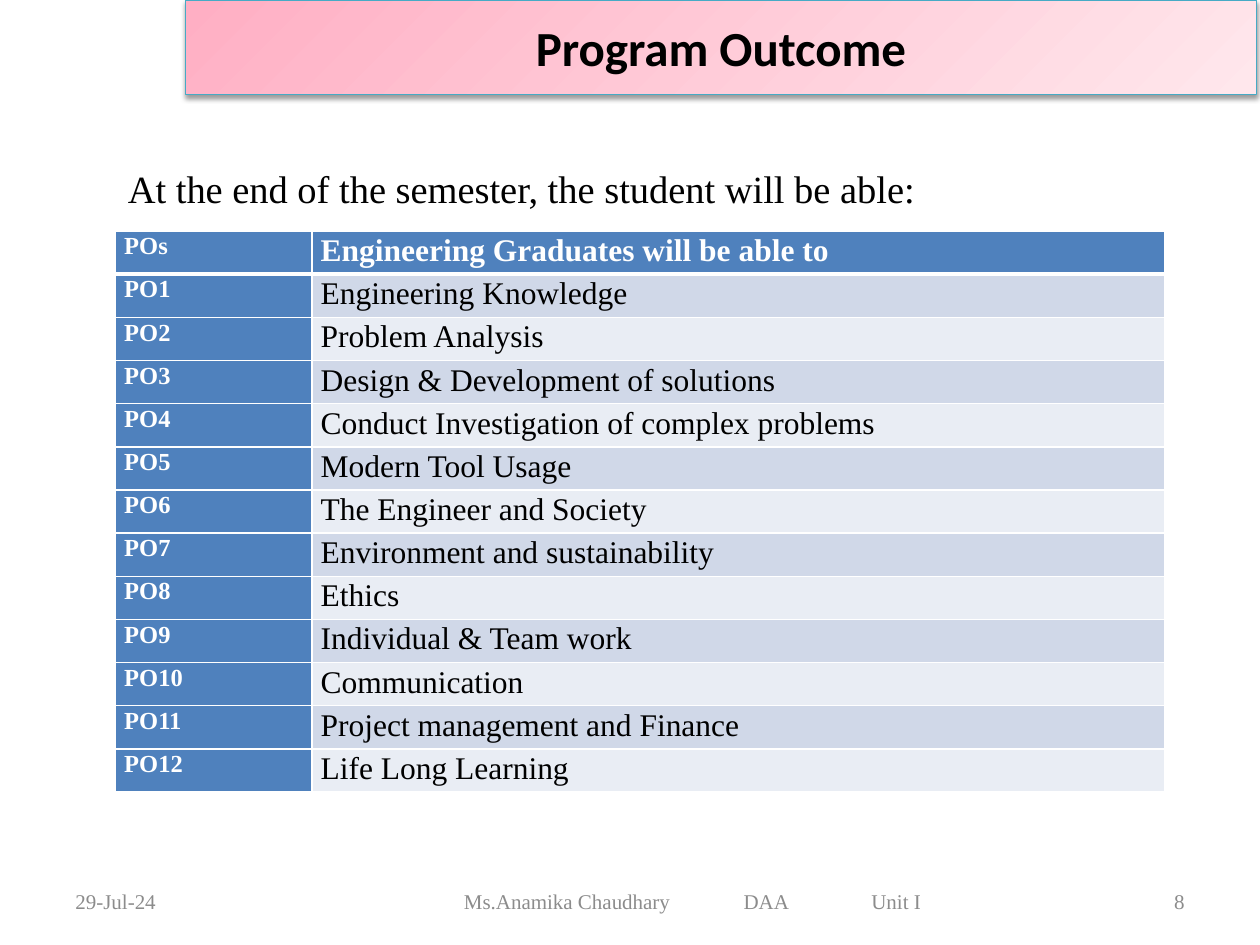
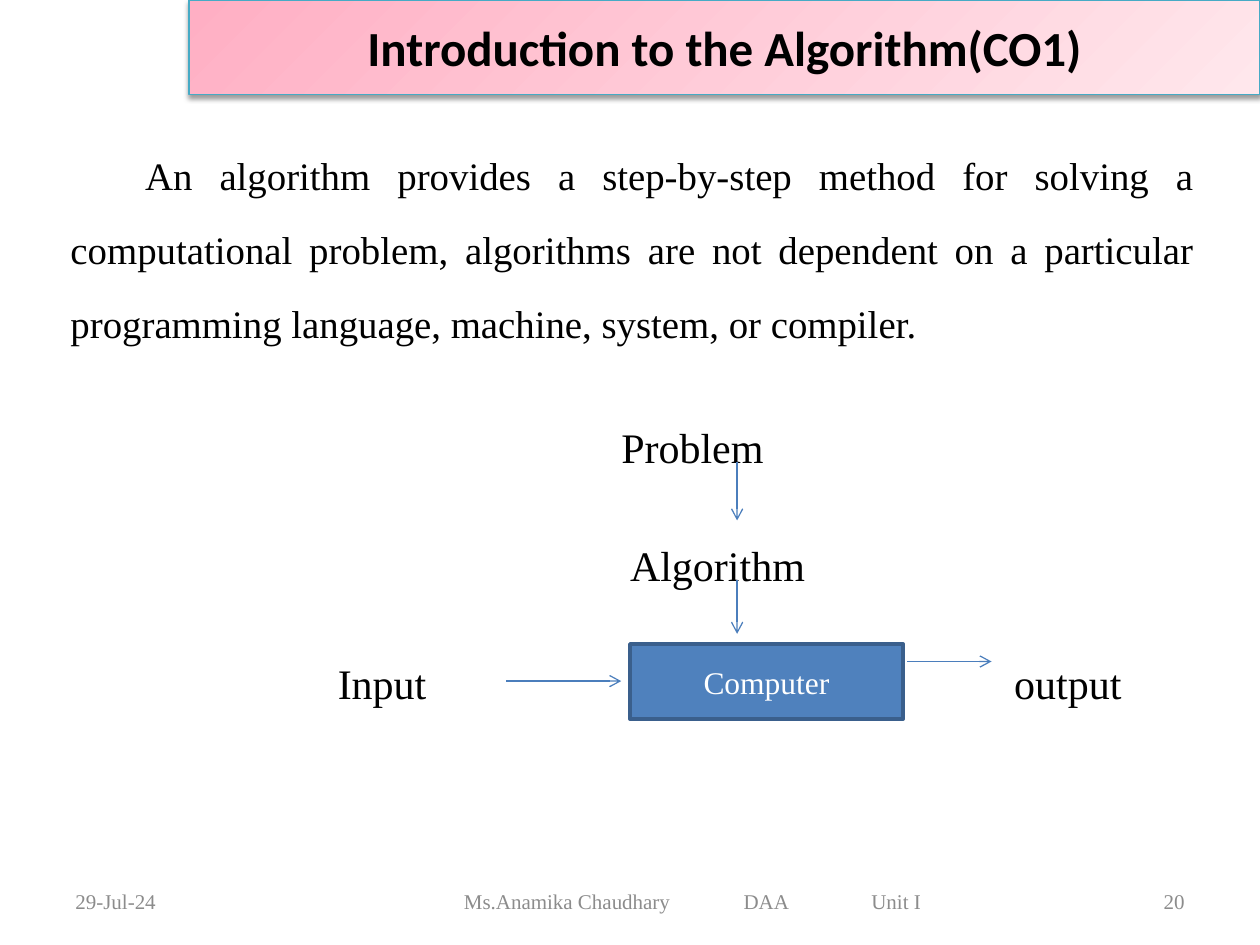
from lxml import etree
from pptx import Presentation
from pptx.dml import color as dml
from pptx.enum import shapes, text
from pptx.oxml import ns
from pptx.util import Pt

COLORS = {
    "black": "000000", "white": "FFFFFF", "footer": "8C8C8C",
    "band_start": "FFAFC4", "band_end": "FFE7EC", "band_line": "46AAC5",
    "blue": "4F81BD", "box_line": "3A5F8C", "arrow": "4B7EBC",
    "odd_row": "D0D8E8", "even_row": "E9EDF4",
}
BODY_FONT, TITLE_FONT = "Times New Roman", "Calibri"
ALIGN, ANCHOR = text.PP_ALIGN, text.MSO_ANCHOR
OUTCOMES = [
    "Engineering Knowledge", "Problem Analysis", "Design & Development of solutions",
    "Conduct Investigation of complex problems", "Modern Tool Usage",
    "The Engineer and Society", "Environment and sustainability", "Ethics",
    "Individual & Team work", "Communication", "Project management and Finance",
    "Life Long Learning",
]


def rgb(name):
    return dml.RGBColor.from_string(COLORS[name])


def add_xml(parent, tag, **attributes):
    values = {key: str(value) for key, value in attributes.items()}
    return etree.SubElement(parent, ns.qn(tag), values)


def write_text(frame, content, size=22, color="black", font=BODY_FONT, bold=False,
               align=ALIGN.LEFT, anchor=ANCHOR.TOP, spacing=None, after=0,
               margin=0, first=0, tabs=()):
    frame.word_wrap = True
    frame.vertical_anchor = anchor
    paragraph = frame.paragraphs[0]
    paragraph.text = content
    paragraph.alignment = align
    paragraph.space_after = Pt(after)
    if spacing:
        paragraph.line_spacing = spacing
    properties = paragraph._p.get_or_add_pPr()
    if margin or first:
        properties.set("marL", str(Pt(margin)))
        properties.set("indent", str(Pt(first)))
    if tabs:
        tab_list = add_xml(properties, "a:tabLst")
        for position in tabs:
            add_xml(tab_list, "a:tab", pos=Pt(position), algn="l")
    for run in paragraph.runs:
        run.font.name = font
        run.font.size = Pt(size)
        run.font.bold = bold
        run.font.color.rgb = rgb(color)


class Deck:
    def __init__(self):
        self.presentation = Presentation()
        self.presentation.slide_width = Pt(720)
        self.presentation.slide_height = Pt(540)
        self.slide = None

    def start_slide(self, title, number, band_left):
        self.slide = self.presentation.slides.add_slide(self.presentation.slide_layouts[6])
        footer = dict(size=12, color="footer", anchor=ANCHOR.MIDDLE)
        self.text("29-Jul-24", 36, 500.4, 168, 28.8, **footer)
        self.text("Ms.Anamika Chaudhary\tDAA\tUnit I", 258, 500.4, 336, 28.8,
                  tabs=(159.8, 232.8), **footer)
        self.text(str(number), 516, 500.4, 168, 28.8, align=ALIGN.RIGHT, **footer)
        self.title_band(title, band_left)

    def text(self, content, left, top, width, height, inset=True, **style):
        shape = self.slide.shapes.add_textbox(Pt(left), Pt(top), Pt(width), Pt(height))
        frame = shape.text_frame
        if not inset:
            frame.margin_left = frame.margin_right = frame.margin_top = frame.margin_bottom = 0
        write_text(frame, content, **style)

    def rectangle(self, content, left, top, width, height, line, line_width, **style):
        shape = self.slide.shapes.add_shape(
            shapes.MSO_SHAPE.RECTANGLE, Pt(left), Pt(top), Pt(width), Pt(height))
        shape.shadow.inherit = False
        shape.fill.solid()
        shape.fill.fore_color.rgb = rgb("blue")
        shape.line.color.rgb = rgb(line)
        shape.line.width = Pt(line_width)
        write_text(shape.text_frame, content, align=ALIGN.CENTER, anchor=ANCHOR.MIDDLE, **style)
        return shape

    def title_band(self, title, left):
        band = self.rectangle(title, left, 0, 612, 54, "band_line", 0.75,
                              size=28, font=TITLE_FONT, bold=True)
        band.fill.gradient()
        band.fill.gradient_angle = 315
        for stop, name in zip(band.fill.gradient_stops, ("band_start", "band_end")):
            stop.color.rgb = rgb(name)
        effects = band._element.spPr.find(ns.qn("a:effectLst"))
        shadow = add_xml(effects, "a:outerShdw", blurRad=Pt(3.1), dist=Pt(1.6),
                         dir=5400000, rotWithShape=0)
        add_xml(add_xml(shadow, "a:srgbClr", val=COLORS["black"]), "a:alpha", val=38000)

    def arrow(self, start_x, start_y, end_x, end_y):
        connector = self.slide.shapes.add_connector(
            shapes.MSO_CONNECTOR.STRAIGHT, Pt(start_x), Pt(start_y), Pt(end_x), Pt(end_y))
        connector.line.color.rgb = rgb("arrow")
        connector.line.width = Pt(0.75)
        add_xml(connector.line._get_or_add_ln(), "a:tailEnd", type="arrow")
        add_xml(connector._element.spPr, "a:effectLst")

    def cell(self, cell, content, fill, top_border=1, bottom_border=1, **style):
        cell.margin_left = cell.margin_right = Pt(5)
        cell.margin_top = cell.margin_bottom = 0
        properties = cell._tc.get_or_add_tcPr()
        borders = {"a:lnL": 1, "a:lnR": 1, "a:lnT": top_border, "a:lnB": bottom_border}
        for tag, width in borders.items():
            border = add_xml(properties, tag, w=Pt(width))
            add_xml(add_xml(border, "a:solidFill"), "a:srgbClr", val=COLORS["white"])
        cell.fill.solid()
        cell.fill.fore_color.rgb = rgb(fill)
        write_text(cell.text_frame, content, spacing=1.07, **style)

    def table(self, rows, left, top, widths, row_height):
        table = self.slide.shapes.add_table(
            len(rows), len(widths), Pt(left), Pt(top),
            Pt(sum(widths)), Pt(row_height * len(rows))).table
        table.horz_banding = False
        for column, width in zip(table.columns, widths):
            column.width = Pt(width)
        for index, (code, outcome) in enumerate(rows):
            table.rows[index].height = Pt(row_height)
            header = index == 0
            borders = dict(top_border=3 if index == 1 else 1, bottom_border=3 if header else 1)
            row_fill = "blue" if header else "odd_row" if index % 2 else "even_row"
            self.cell(table.cell(index, 0), code, "blue", size=14, color="white",
                      bold=True, **borders)
            self.cell(table.cell(index, 1), outcome, row_fill, size=18,
                      color="white" if header else "black", bold=header, **borders)


def build_outcomes(deck):
    deck.start_slide("Program Outcome", 8, 106)
    deck.text("At the end of the semester, the student will be able:",
              66, 87, 612, 36, spacing=1.15, after=10)
    rows = [("POs", "Engineering Graduates will be able to")]
    rows += [(f"PO{number}", outcome) for number, outcome in enumerate(OUTCOMES, 1)]
    deck.table(rows, 66, 132, (112.3, 487.5), 24.68)


def build_introduction(deck):
    deck.start_slide("Introduction to the Algorithm(CO1)", 20, 108)
    deck.text("An algorithm provides a step-by-step method for solving a computational problem, "
              "algorithms are not dependent on a particular programming language, machine, "
              "system, or compiler.",
              5.8, 67.5, 684, 140, size=22.2, align=ALIGN.JUSTIFY, spacing=Pt(42.3),
              margin=27.4, first=42.6)
    labels = [("Problem", 355, 0), ("Algorithm", 360, 1), ("Input", 193, 2), ("output", 579.5, 2)]
    for label, left, level in labels:
        deck.text(label, left, 240.8 + 67.4 * level, 110, 28, inset=False, size=24)
    deck.rectangle("Computer", 360, 368, 156, 43, "box_line", 2, size=18, color="white")
    deck.arrow(421.2, 264.2, 421.2, 297.4)
    deck.arrow(421.2, 331.2, 421.2, 362.2)
    deck.arrow(289.4, 389.2, 355, 389.2)
    deck.arrow(518.4, 378, 566.6, 378)


def main():
    deck = Deck()
    build_outcomes(deck)
    build_introduction(deck)
    deck.presentation.save("out.pptx")


if __name__ == "__main__":
    main()
